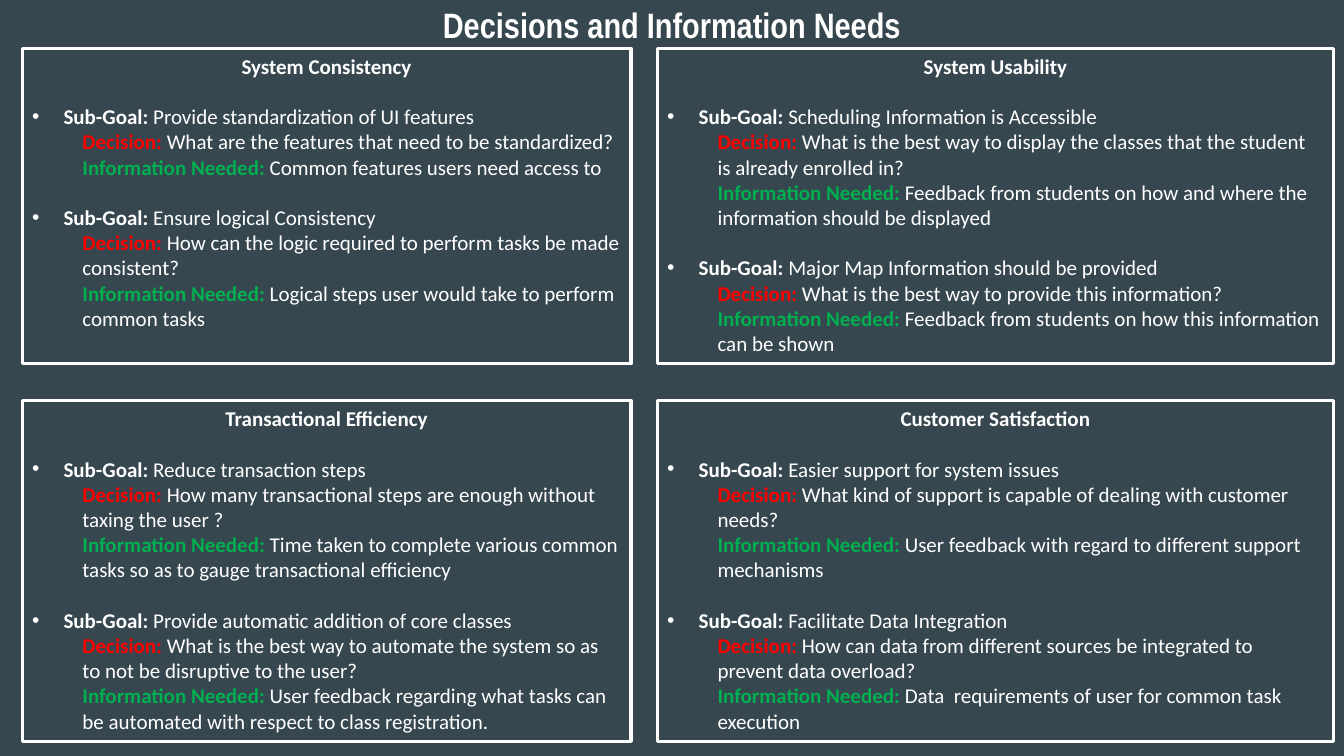
from dataclasses import dataclass

from lxml import etree
from pptx import Presentation
from pptx import util as u
from pptx.dml import color
from pptx.enum import shapes, text
from pptx.oxml import ns


@dataclass(frozen=True)
class Theme:
    background: str = "37474F"
    foreground: str = "FFFFFF"
    decision: str = "FF0000"
    information: str = "00B050"
    title_font: str = "Arial Narrow"
    body_font: str = "Calibri"
    title_size: float = 25.2
    body_size: float = 15
    border: float = 2.25
    goal_gap: float = 18
    bullet_indent: float = 22.5
    detail_indent: float = 36


class GoalSlide:
    def __init__(self, presentation, theme):
        self.theme = theme
        self.slide = presentation.slides.add_slide(presentation.slide_layouts[6])
        fill = self.slide.background.fill
        fill.solid()
        fill.fore_color.rgb = color.RGBColor.from_string(theme.background)

    def run(self, paragraph, words, bold=False, colour=None, font=None, size=None):
        run = paragraph.add_run()
        run.text = words
        run.font.bold = bold
        run.font.name = font or self.theme.body_font
        run.font.size = u.Pt(size or self.theme.body_size)
        run.font.color.rgb = color.RGBColor.from_string(colour or self.theme.foreground)

    def title(self, words, left, top, width, height):
        frame = self.slide.shapes.add_textbox(
            u.Pt(left), u.Pt(top), u.Pt(width), u.Pt(height)).text_frame
        frame.word_wrap = True
        frame.vertical_anchor = text.MSO_ANCHOR.MIDDLE
        paragraph = frame.paragraphs[0]
        paragraph.alignment = text.PP_ALIGN.CENTER
        paragraph.line_spacing = 0.9
        self.run(paragraph, words, True, font=self.theme.title_font,
                 size=self.theme.title_size)

    def panel(self, heading, goals, left, top, width, height):
        shape = self.slide.shapes.add_shape(
            shapes.MSO_SHAPE.RECTANGLE, u.Pt(left), u.Pt(top), u.Pt(width), u.Pt(height))
        shape.shadow.inherit = False
        shape.fill.background()
        shape.line.color.rgb = color.RGBColor.from_string(self.theme.foreground)
        shape.line.width = u.Pt(self.theme.border)
        frame = shape.text_frame
        frame.word_wrap = True
        frame.vertical_anchor = text.MSO_ANCHOR.TOP
        paragraph = frame.paragraphs[0]
        paragraph.alignment = text.PP_ALIGN.CENTER
        self.run(paragraph, heading, True)
        for goal, decision, information in goals:
            self.sub_goal(frame, goal)
            self.detail(frame, "Decision:", decision, self.theme.decision)
            self.detail(frame, "Information Needed:", information, self.theme.information)

    def labelled(self, frame, label, words, colour, indent, hanging=0):
        paragraph = frame.add_paragraph()
        paragraph.alignment = text.PP_ALIGN.LEFT
        properties = paragraph._p.get_or_add_pPr()
        properties.set("marL", str(u.Pt(indent)))
        properties.set("indent", str(-u.Pt(hanging)))
        self.run(paragraph, label, True, colour)
        self.run(paragraph, " " + words)
        return paragraph

    def sub_goal(self, frame, words):
        indent = self.theme.bullet_indent
        paragraph = self.labelled(frame, "Sub-Goal:", words, None, indent, indent)
        paragraph.space_before = u.Pt(self.theme.goal_gap)
        properties = paragraph._p.get_or_add_pPr()
        etree.SubElement(properties, ns.qn("a:buFont"), typeface="Arial")
        etree.SubElement(properties, ns.qn("a:buChar"), char="•")

    def detail(self, frame, label, words, colour):
        paragraph = self.labelled(frame, label, words, colour, self.theme.detail_indent)
        paragraph.level = 1


COLUMNS = [(15.84, 434.88), (469.44, 483.12)]
ROWS = [(34.56, 225.36), (286.2, 243.36)]
PANELS = [
    ("System Consistency", [
        ("Provide standardization of UI features",
         "What are the features that need to be standardized?",
         "Common features users need access to"),
        ("Ensure logical Consistency",
         "How can the logic required to perform tasks be made consistent?",
         "Logical steps user would take to perform common tasks"),
    ]),
    ("System Usability", [
        ("Scheduling Information is Accessible",
         "What is the best way to display the classes that the student is already enrolled in?",
         "Feedback from students on how and where the information should be displayed"),
        ("Major Map Information should be provided",
         "What is the best way to provide this information?",
         "Feedback from students on how this information can be shown"),
    ]),
    ("Transactional Efficiency", [
        ("Reduce transaction steps",
         "How many transactional steps are enough without taxing the user ?",
         "Time taken to complete various common tasks so as to gauge transactional efficiency"),
        ("Provide automatic addition of core classes",
         "What is the best way to automate the system so as to not be disruptive to the user?",
         "User feedback regarding what tasks can be automated with respect to class registration."),
    ]),
    ("Customer Satisfaction", [
        ("Easier support for system issues",
         "What kind of support is capable of dealing with customer needs?",
         "User feedback with regard to different support mechanisms"),
        ("Facilitate Data Integration",
         "How can data from different sources be integrated to prevent data overload?",
         "Data  requirements of user for common task execution"),
    ]),
]


def main():
    presentation = Presentation()
    presentation.slide_width = u.Pt(960)
    presentation.slide_height = u.Pt(540)
    slide = GoalSlide(presentation, Theme())
    slide.title("Decisions and Information Needs", 66, 3.6, 828, 31)
    for index, (heading, goals) in enumerate(PANELS):
        row, column = divmod(index, len(COLUMNS))
        left, width = COLUMNS[column]
        top, height = ROWS[row]
        slide.panel(heading, goals, left, top, width, height)
    presentation.save("out.pptx")


if __name__ == "__main__":
    main()
